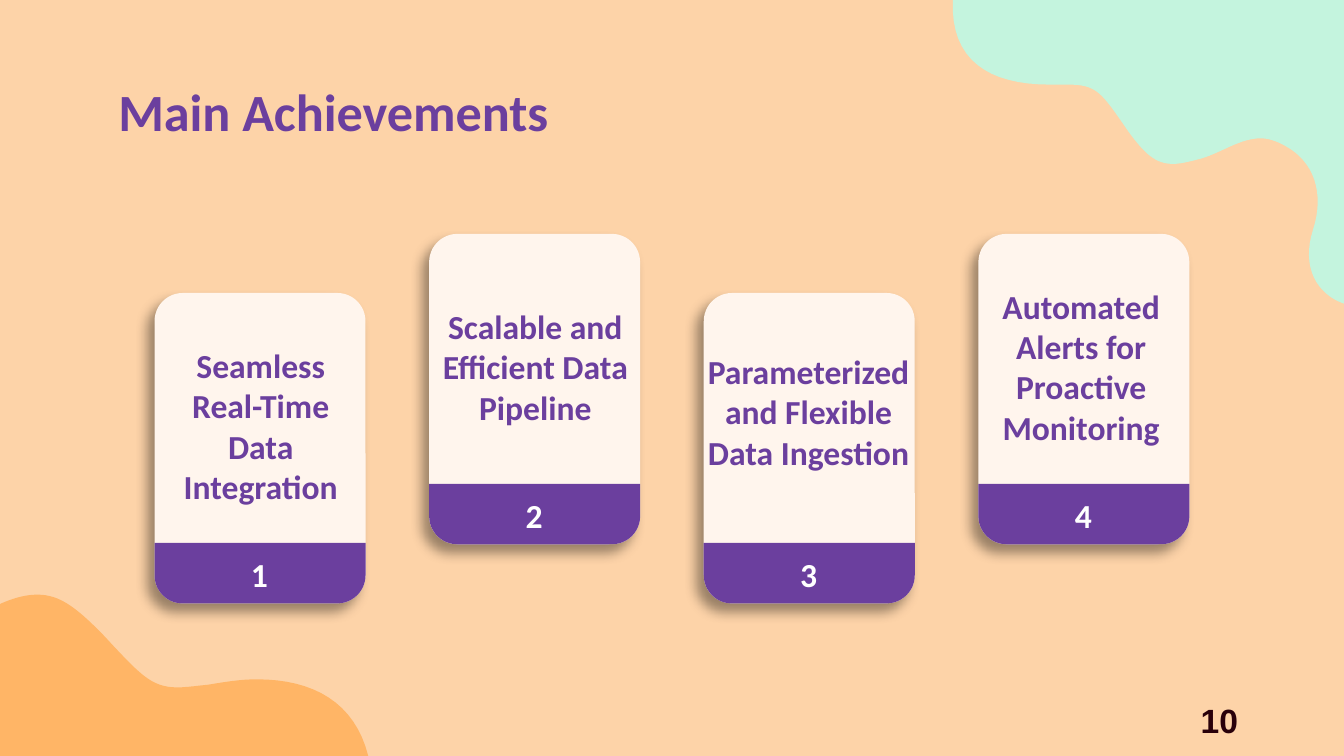
from lxml import etree
from pptx import Presentation
from pptx.dml.color import RGBColor
from pptx.enum.shapes import MSO_SHAPE
from pptx.enum.text import MSO_ANCHOR, PP_ALIGN
from pptx.oxml.ns import qn
from pptx.util import Inches, Pt

CARD = MSO_SHAPE.ROUNDED_RECTANGLE
FOOT = MSO_SHAPE.ROUND_2_SAME_RECTANGLE
TOP, MIDDLE = MSO_ANCHOR.TOP, MSO_ANCHOR.MIDDLE
LEFT, CENTER, RIGHT = PP_ALIGN.LEFT, PP_ALIGN.CENTER, PP_ALIGN.RIGHT

W = 10
H = W * 9 / 16
COLORS = {"sand": "FDD3A8", "orange": "FFB566", "mint": "C4F4DE", "cream": "FFF5ED",
          "purple": "6B3F9E", "white": "FFFFFF", "dark": "29000A", "black": "000000"}

# Card grid: left edge, right card's left edge, card size, corner radius, footer height
START, END = 1.15, 7.28
WIDE, TALL, ROUND, BASE = 1.57, 2.31, 0.21, 0.45
HIGH, LOW = 1.74, 2.18

# Text, card top, label box from the card corner
CARDS = [
    ("Seamless Real-Time Data Integration", LOW, (0, 0.59, 1.58, 0.79)),
    ("Scalable and Efficient Data Pipeline", HIGH, (0, 0.59, 1.58, 0.79)),
    ("Parameterized and Flexible Data Ingestion", LOW, (-0.15, 0.39, 1.86, 0.98)),
    ("Automated Alerts for Proactive Monitoring", HIGH, (-0.1, 0.59, 1.73, 0.79)),
]

# Outlines in inches from the box corner: 2 numbers are a line, 6 a curve
HILL = [(0.28, 0), (0.2, 0, 0.11, 0.02, 0, 0.07), (0, 1.2), (2.74, 1.2),
        (2.64, 0.8, 2.33, 0.63, 1.91, 0.63), (1.79, 0.63, 1.67, 0.65, 1.55, 0.67),
        (1.45, 0.68, 1.38, 0.69, 1.32, 0.69), (1.12, 0.69, 1.04, 0.59, 0.75, 0.28),
        (0.56, 0.09, 0.44, 0, 0.28, 0)]
CLOUD = [(0.02, 0), (0, 0.45, 0.29, 0.63, 0.74, 0.63), (0.87, 0.63),
         (1.09, 0.63, 1.12, 0.68, 1.32, 0.97), (1.45, 1.15, 1.53, 1.22, 1.66, 1.22),
         (1.72, 1.22, 1.79, 1.2, 1.87, 1.18), (2.03, 1.13, 2.16, 1.03, 2.31, 1.03),
         (2.37, 1.03, 2.43, 1.05, 2.5, 1.09), (2.7, 1.2, 2.79, 1.43, 2.7, 1.71),
         (2.61, 1.99, 2.73, 2.19, 2.93, 2.26), (2.93, 0)]


def rgb(name):
    return RGBColor.from_string(COLORS[name])


def paint(shape, color):
    shape.fill.solid()
    shape.fill.fore_color.rgb = rgb(color)
    shape.line.fill.background()
    shape.shadow.inherit = False


def write(shape, text, size, color, align, anchor=MIDDLE, font="Calibri"):
    frame = shape.text_frame
    frame.word_wrap = True
    frame.vertical_anchor = anchor
    frame.margin_left = frame.margin_right = Inches(0.1)
    frame.margin_top = frame.margin_bottom = Inches(0.1)
    para = frame.paragraphs[0]
    para.alignment = align
    run = para.add_run()
    run.text = text
    run.font.name, run.font.size, run.font.bold = font, Pt(size), True
    run.font.color.rgb = rgb(color)


def trace(outline, steps=16):
    """Turn lines and cubic curves into a list of close points."""
    points = [outline[0]]
    for part in outline[1:]:
        if len(part) == 2:
            points.append(part)
            continue
        knots = [points[-1], part[:2], part[2:4], part[4:]]
        for i in range(1, steps + 1):
            t = i / steps
            mix = ((1 - t) ** 3, 3 * t * (1 - t) ** 2, 3 * t * t * (1 - t), t ** 3)
            points.append(tuple(sum(m * k[axis] for m, k in zip(mix, knots))
                                for axis in (0, 1)))
    return points


def blob(slide, x, y, outline, color):
    points = [(Inches(x + px), Inches(y + py)) for px, py in trace(outline)]
    pen = slide.shapes.build_freeform(*points[0])
    pen.add_line_segments(points[1:], close=True)
    paint(pen.convert_to_shape(), color)


def block(slide, kind, x, y, w, h, color):
    shape = slide.shapes.add_shape(kind, Inches(x), Inches(y), Inches(w), Inches(h))
    paint(shape, color)
    return shape


def textbox(slide, x, y, w, h):
    return slide.shapes.add_textbox(Inches(x), Inches(y), Inches(w), Inches(h))


def shade(shape):
    """Add a soft shadow to the lower left."""
    effects = shape._element.spPr.find(qn("a:effectLst"))
    outer = etree.SubElement(effects, qn("a:outerShdw"), blurRad=str(Pt(6.8)),
                             dist=str(Pt(6)), dir=str(131 * 60000),
                             algn="bl", rotWithShape="0")
    tint = etree.SubElement(outer, qn("a:srgbClr"), val=COLORS["black"])
    etree.SubElement(tint, qn("a:alpha"), val="38000")


def card(slide, x, y, w, h, number, text, box):
    panel = block(slide, CARD, x, y, w, h, "cream")
    panel.adjustments[0] = ROUND / w
    shade(panel)
    foot = block(slide, FOOT, x, y + h - BASE, w, BASE, "purple")
    foot.adjustments[0] = 0
    foot.adjustments[1] = ROUND / BASE
    dx, dy, span, tall = box
    label = textbox(slide, x + dx, y + dy, span, tall)
    write(label, text, 18, "purple", CENTER)
    count = textbox(slide, x - 0.01, y + h - 0.44, w + 0.01, 0.44)
    write(count, str(number), 18, "white", CENTER)


def heading(slide, x, y, w, h):
    title = slide.shapes.title
    title.left, title.top = Inches(x), Inches(y)
    title.width, title.height = Inches(w), Inches(h)
    write(title, "Main Achievements", 28, "purple", LEFT, TOP)


def main():
    deck = Presentation()
    deck.slide_width, deck.slide_height = Inches(W), Inches(H)
    slide = deck.slides.add_slide(deck.slide_layouts[5])
    slide.background.fill.solid()
    slide.background.fill.fore_color.rgb = rgb("sand")

    blob(slide, 0, H - 1.2, HILL, "orange")
    blob(slide, W - 2.93, 0, CLOUD, "mint")
    page = textbox(slide, 7.06, 5.21, 2.25, 0.3)
    write(page, "10", 18, "dark", RIGHT, font="Arial")
    heading(slide, 0.78, 0.49, W - 2 * 0.78, 0.63)
    pitch = (END - START) / (len(CARDS) - 1)
    for i, (text, top, box) in enumerate(CARDS):
        card(slide, START + i * pitch, top, WIDE, TALL, i + 1, text, box)

    deck.save("out.pptx")


if __name__ == "__main__":
    main()
